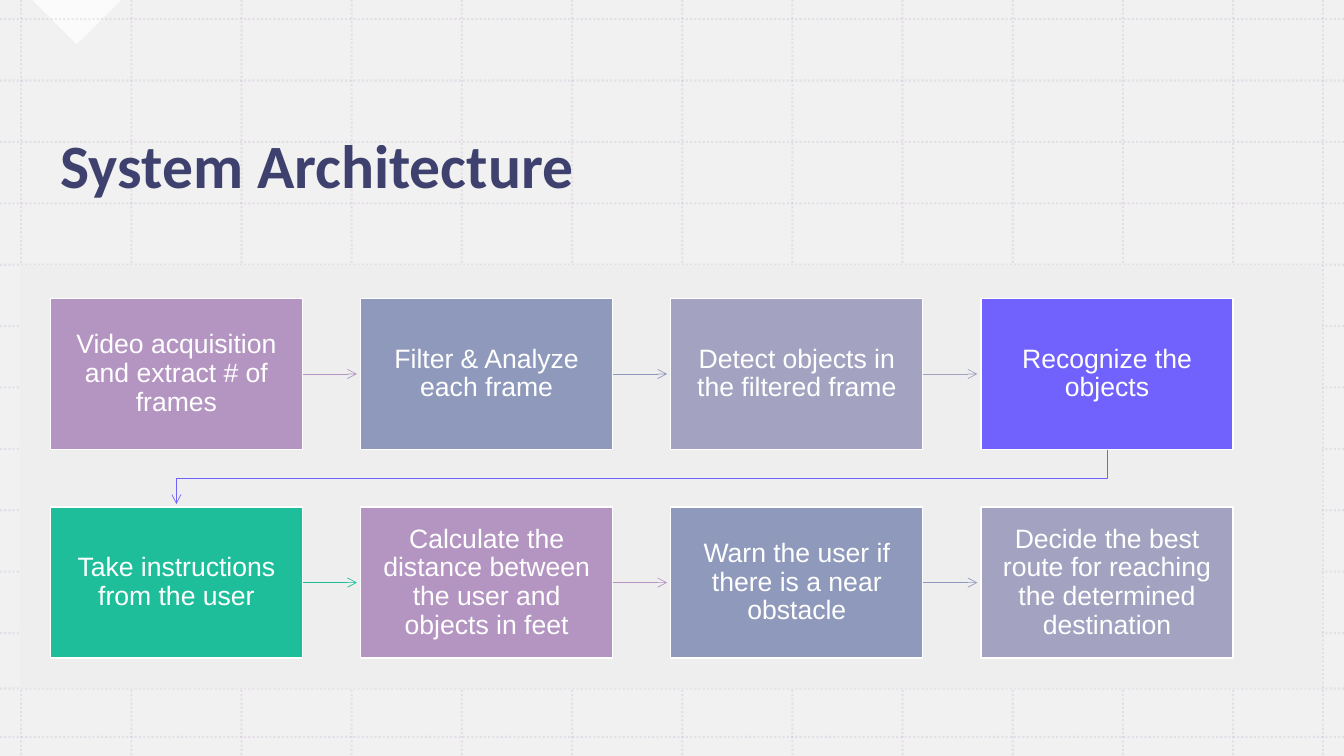
from lxml.etree import SubElement
from pptx import Presentation
from pptx.dml.color import RGBColor
from pptx.enum.dml import MSO_LINE
from pptx.enum.shapes import MSO_CONNECTOR, MSO_SHAPE
from pptx.enum.text import MSO_ANCHOR, MSO_AUTO_SIZE, PP_ALIGN
from pptx.oxml.ns import qn
from pptx.util import Inches, Pt

WHITE = RGBColor(0xFF, 0xFF, 0xFF)
PAPER = RGBColor(0xF1, 0xF1, 0xF1)
PANEL = RGBColor(0xEE, 0xEE, 0xEE)
NAVY = RGBColor(0x12, 0x15, 0x4E)
MAUVE = RGBColor(0xB4, 0x95, 0xC2)
STEEL = RGBColor(0x8F, 0x99, 0xBB)
GREY = RGBColor(0xA3, 0xA3, 0xC1)
VIOLET = RGBColor(0x71, 0x62, 0xFE)
GREEN = RGBColor(0x1E, 0xBE, 0x9B)

WIDE, HIGH = 13.33, 7.5
STEPS = [
    ("Video acquisition and extract # of frames", MAUVE),
    ("Filter & Analyze each frame", STEEL),
    ("Detect objects in the filtered frame", GREY),
    ("Recognize the objects", VIOLET),
    ("Take instructions from the user", GREEN),
    ("Calculate the distance between the user and objects in feet", MAUVE),
    ("Warn the user if there is a near obstacle", STEEL),
    ("Decide the best route for reaching the determined destination", GREY),
]


def apply(item, **style):
    for key, value in style.items():
        setattr(item, key, value)


def fade(node, rate):
    for color in node.iter(qn("a:srgbClr")):
        SubElement(color, qn("a:alpha"), val=str(rate * 1000))


def add_block(slide, kind, box, color):
    shape = slide.shapes.add_shape(kind, *map(Inches, box))
    shape.shadow.inherit = False
    shape.fill.solid()
    shape.fill.fore_color.rgb = color
    shape.line.fill.background()
    return shape


def add_line(slide, start, end, color, width):
    line = slide.shapes.add_connector(
        MSO_CONNECTOR.STRAIGHT, *map(Inches, start + end))
    line.line.color.rgb = color
    line.line.width = Pt(width)
    return line


def flat(line):
    SubElement(line.element.spPr, qn("a:effectLst"))


def add_tip(shape):
    SubElement(shape.element.spPr.get_or_add_ln(), qn("a:tailEnd"), type="arrow")


def draw_grid(slide, box):
    left, top, width, height = box
    cols = [left + 0.21 + 12.02 / 11 * i for i in range(12)] + [left + 13.12]
    rows = [top + 0.19 + 0.609 * i for i in range(11)] + [top + 6.83, top + 7.31]
    ends = [((x, top), (x, top + height)) for x in cols]
    ends += [((left, y), (left + width, y)) for y in rows]
    for start, end in ends:
        line = add_line(slide, start, end, MAUVE, 1.5)
        line.line.dash_style = MSO_LINE.ROUND_DOT
        fade(line.element, 20)
        flat(line)


def draw_title(slide, box, text):
    title = slide.shapes.title
    title.element.getparent().append(title.element)
    apply(title, **dict(zip(("left", "top", "width", "height"), map(Inches, box))))
    frame = title.text_frame
    apply(frame, text=text, word_wrap=True, auto_size=MSO_AUTO_SIZE.NONE,
          vertical_anchor=MSO_ANCHOR.MIDDLE)
    para = frame.paragraphs[0]
    apply(para, alignment=PP_ALIGN.LEFT, line_spacing=0.9,
          space_before=Pt(0), space_after=Pt(6))
    font = para.runs[0].font
    apply(font, name="Calibri", size=Pt(44), bold=True)
    font.color.rgb = NAVY
    fade(title.element, 80)


def draw_step(slide, box, text, color):
    shape = add_block(slide, MSO_SHAPE.RECTANGLE, box, color)
    shape.line.color.rgb = WHITE
    shape.line.width = Pt(1)
    frame = shape.text_frame
    apply(frame, text=text, word_wrap=True, vertical_anchor=MSO_ANCHOR.MIDDLE,
          margin_left=Inches(0.12), margin_right=Inches(0.12),
          margin_top=Inches(0.13), margin_bottom=Inches(0.13))
    para = frame.paragraphs[0]
    apply(para, alignment=PP_ALIGN.CENTER, line_spacing=0.9, space_after=Pt(7))
    apply(para.font, name="Arial", size=Pt(19))
    para.font.color.rgb = WHITE


def draw_turn(slide, start, end, bend, color):
    points = [(start[0], bend), (end[0], bend), end]
    build = slide.shapes.build_freeform(*map(Inches, start))
    build.add_line_segments([tuple(map(Inches, p)) for p in points], close=False)
    turn = build.convert_to_shape()
    turn.shadow.inherit = False
    turn.fill.background()
    turn.line.color.rgb = color
    turn.line.width = Pt(0.5)
    add_tip(turn)


def draw_flow(slide, box):
    add_block(slide, MSO_SHAPE.RECTANGLE, box, PANEL)
    left, top = box[0] + 0.3, box[1] + 0.33
    wide, high, across, down, cols = 2.5, 1.5, 9.23 / 3, 2.07, 4
    for i, (text, color) in enumerate(STEPS):
        row, col = divmod(i, cols)
        x, y = left + across * col, top + down * row
        if col < cols - 1:
            mid = y + high / 2
            arrow = add_line(slide, (x + wide, mid), (x + wide + 0.54, mid), color, 0.5)
            add_tip(arrow)
            flat(arrow)
        elif i < len(STEPS) - 1:
            base = y + high
            draw_turn(slide, (x + wide / 2, base),
                      (left + wide / 2, base + 0.54), base + 0.29, color)
        draw_step(slide, (x, y, wide, high), text, color)


def main():
    deck = Presentation()
    apply(deck, slide_width=Inches(WIDE), slide_height=Inches(HIGH))
    slide = deck.slides.add_slide(deck.slide_layouts[5])
    back = slide.background.fill
    back.solid()
    back.fore_color.rgb = PAPER
    notch = add_block(slide, MSO_SHAPE.RIGHT_TRIANGLE, (0.45, -0.31, 0.62, 0.62), WHITE)
    notch.rotation = 315
    fade(notch.element, 75)
    draw_grid(slide, (0, 0, WIDE, HIGH))
    draw_title(slide, (0.5, 0.79, 11.75, 1.76), "System Architecture")
    draw_flow(slide, (0.2, 2.63, 12.91, 4.2))
    deck.save("out.pptx")


if __name__ == "__main__":
    main()
